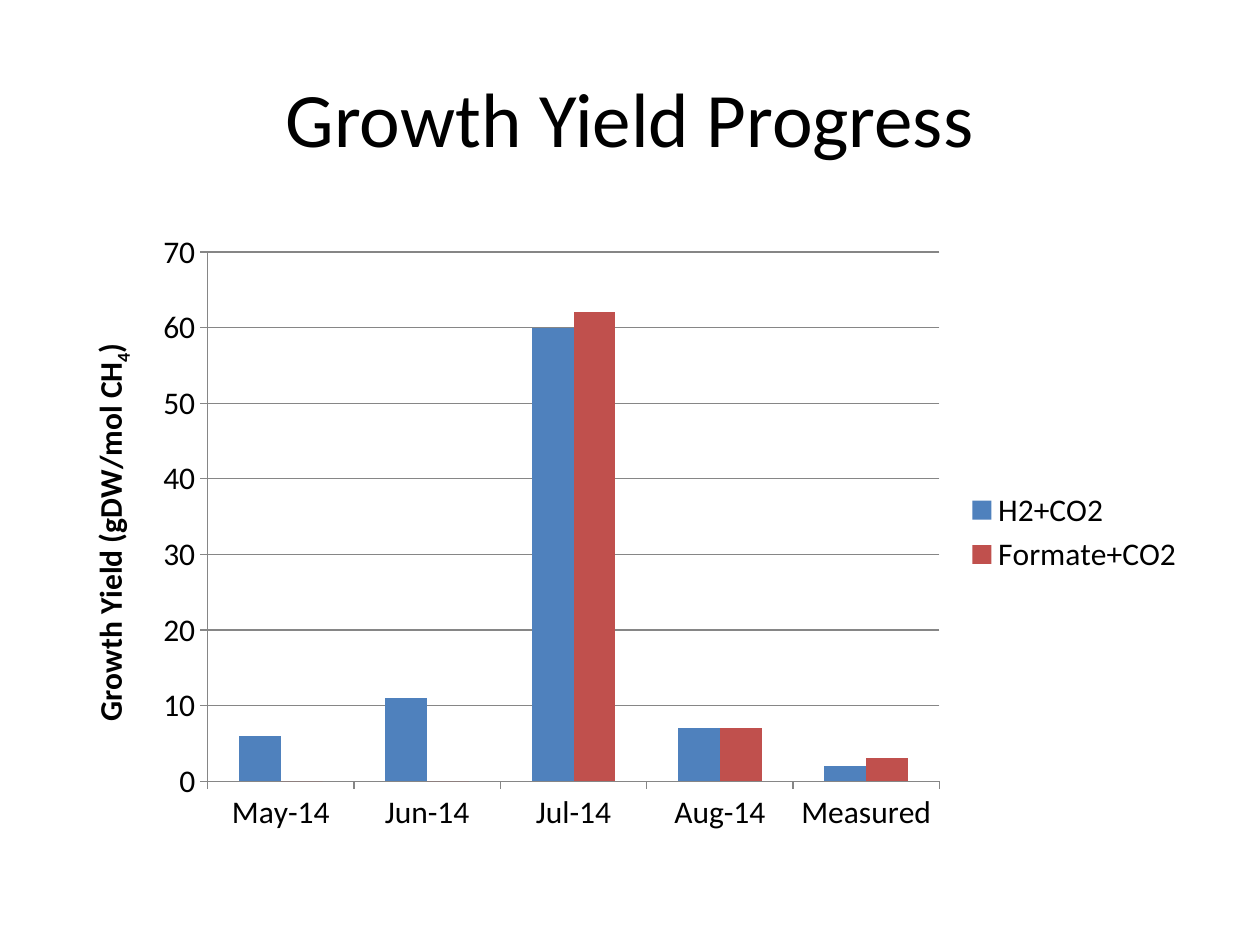
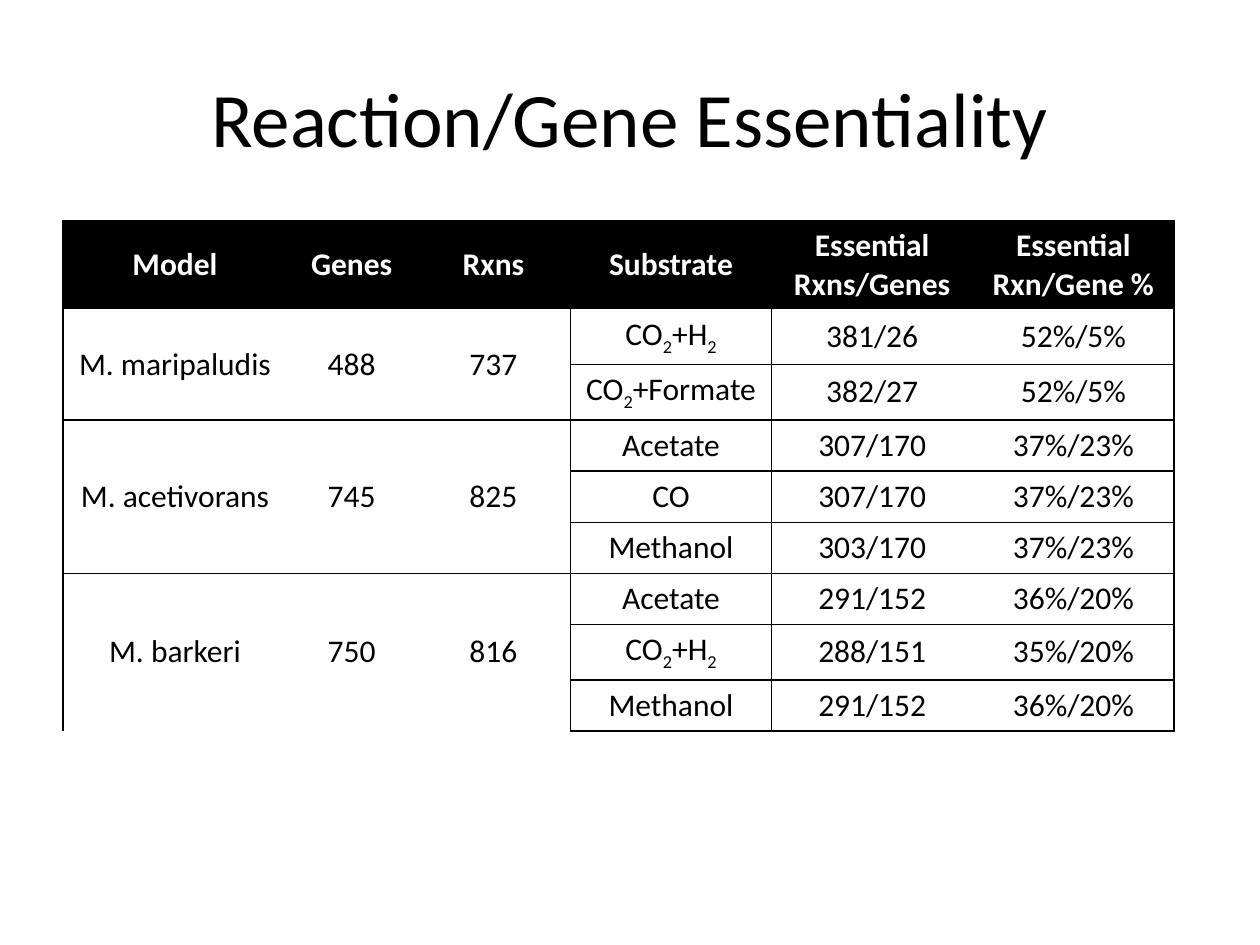
from lxml.etree import SubElement
from pptx import Presentation
from pptx.chart.data import CategoryChartData
from pptx.dml.color import RGBColor
from pptx.enum.chart import XL_CHART_TYPE, XL_LEGEND_POSITION, XL_TICK_MARK
from pptx.enum.text import MSO_ANCHOR, PP_ALIGN
from pptx.oxml.ns import qn
from pptx.util import Pt

COLORS = {"text": "000000", "paper": "FFFFFF", "grid": "868686",
          "h2": "4F81BD", "formate": "C0504D"}
FONT = "Calibri"
BODY_SIZE = 18
TITLE_BOX = (36, 21.6, 648, 90)
CHART_BOX = (36, 126, 648, 356.4)
TABLE_POS = (36, 126)
NO_STYLE = "{2D5ABB26-0587-4C30-8999-92F81FD0307C}"

MONTHS = ["May-14", "Jun-14", "Jul-14", "Aug-14", "Measured"]
YIELDS = [("H2+CO2", "h2", (6, 11, 60, 7, 2)),
          ("Formate+CO2", "formate", (0, 0, 62, 7, 3))]

# An underscore puts the next character in subscript.
COL_WIDTHS = [128, 74, 88, 115, 115, 115]
ROW_HEIGHT = 29.2
HEADERS = ["Model", "Genes", "Rxns", "Substrate",
           "Essential Rxns/Genes", "Essential Rxn/Gene %"]
MODELS = [
    (("M. maripaludis", "488", "737"),
     [("CO_2+H_2", "381/26", "52%/5%"),
      ("CO_2+Formate", "382/27", "52%/5%")]),
    (("M. acetivorans", "745", "825"),
     [("Acetate", "307/170", "37%/23%"),
      ("CO", "307/170", "37%/23%"),
      ("Methanol", "303/170", "37%/23%")]),
    (("M. barkeri", "750", "816"),
     [("Acetate", "291/152", "36%/20%"),
      ("CO_2+H_2", "288/151", "35%/20%"),
      ("Methanol", "291/152", "36%/20%")]),
]


def rgb(name):
    return RGBColor.from_string(COLORS[name])


def style_font(font, size=BODY_SIZE, color="text", bold=False):
    font.name = FONT
    font.size = Pt(size)
    font.bold = bold
    font.color.rgb = rgb(color)


def write(p, text, **style):
    """Fill a paragraph, lowering each character that follows an underscore."""
    first, *rest = text.split("_")
    parts = [(first, False)]
    for piece in rest:
        parts += [(piece[0], True), (piece[1:], False)]
    for part, lowered in parts:
        if part:
            r = p.add_run()
            r.text = part
            style_font(r.font, **style)
            if lowered:
                r.font._element.set("baseline", "-25000")


def add_title(s, box, text):
    tf = s.shapes.add_textbox(*map(Pt, box)).text_frame
    tf.word_wrap = True
    tf.vertical_anchor = MSO_ANCHOR.MIDDLE
    p = tf.paragraphs[0]
    p.alignment = PP_ALIGN.CENTER
    write(p, text, size=44)


def add_yield_chart(s, box):
    data = CategoryChartData()
    data.categories = MONTHS
    for name, _, values in YIELDS:
        data.add_series(name, values)
    chart = s.shapes.add_chart(XL_CHART_TYPE.COLUMN_CLUSTERED,
                               *map(Pt, box), data).chart
    style_font(chart.font)
    chart.has_title = False
    chart.has_legend = True
    chart.legend.position = XL_LEGEND_POSITION.RIGHT
    chart.legend.include_in_layout = False

    plot = chart.plots[0]
    plot.gap_width = 150
    plot.vary_by_categories = False
    for series, (_, color, _) in zip(plot.series, YIELDS):
        series.format.fill.solid()
        series.format.fill.fore_color.rgb = rgb(color)

    val_axis = chart.value_axis
    val_axis.minimum_scale, val_axis.maximum_scale, val_axis.major_unit = 0, 70, 10
    val_axis.has_major_gridlines = True
    for axis in (chart.category_axis, val_axis):
        axis.major_tick_mark = XL_TICK_MARK.OUTSIDE
    for part in (chart.category_axis, val_axis, val_axis.major_gridlines):
        part.format.line.width = Pt(0.75)
        part.format.line.color.rgb = rgb("grid")
    write(val_axis.axis_title.text_frame.paragraphs[0],
          "Growth Yield (gDW/mol CH_4)", bold=True)


def set_borders(cell, widths):
    """Draw the sides named in widths (L, R, T, B) and leave the others open."""
    tcPr = cell._tc.get_or_add_tcPr()
    for side in "LRTB":
        width = widths.get(side, 0)
        ln = SubElement(tcPr, qn(f"a:ln{side}"), w=str(Pt(width)))
        fill = SubElement(ln, qn("a:solidFill" if width else "a:noFill"))
        if width:
            SubElement(fill, qn("a:srgbClr"), val=COLORS["text"])


def fill_cell(cell, text, borders, fill="paper", color="text", bold=False):
    set_borders(cell, borders)
    cell.fill.solid()
    cell.fill.fore_color.rgb = rgb(fill)
    cell.vertical_anchor = MSO_ANCHOR.MIDDLE
    p = cell.text_frame.paragraphs[0]
    p.alignment = PP_ALIGN.CENTER
    write(p, text, color=color, bold=bold)


def add_model_rows(table, top, model, results):
    """Merge the model cells over its result rows, which start at row top."""
    last = top + len(results) - 1
    sides = [{"L": 0.75}, {}, {"R": 1}, {"L": 1, "R": 0.75}, {"L": 0.75}, {"R": 0.75}]
    for row, result in enumerate(results, top):
        texts = (model if row == top else ("",) * 3) + result
        for col, text in enumerate(texts):
            borders = dict(sides[col])
            if col > 2 or row == top:
                borders["T"] = 0.75
            if col > 2 or row == last:
                borders["B"] = 0.75
            fill_cell(table.cell(row, col), text, borders)
    for col in range(3):
        table.cell(top, col).merge(table.cell(last, col))


def add_essentiality_table(s, pos):
    n_rows = 1 + sum(len(results) for _, results in MODELS)
    size = (sum(COL_WIDTHS), ROW_HEIGHT * n_rows)
    table = s.shapes.add_table(n_rows, len(COL_WIDTHS), *map(Pt, pos + size)).table
    table.first_row = table.horz_banding = False
    table._tbl.tblPr.find(qn("a:tableStyleId")).text = NO_STYLE
    for column, width in zip(table.columns, COL_WIDTHS):
        column.width = Pt(width)
    for row in table.rows:
        row.height = Pt(ROW_HEIGHT)

    ends = {0: {"L": 0.75}, len(HEADERS) - 1: {"R": 0.75}}
    for col, text in enumerate(HEADERS):
        fill_cell(table.cell(0, col), text, {"T": 0.75, "B": 0.75, **ends.get(col, {})},
                  fill="text", color="paper", bold=True)
    top = 1
    for model, results in MODELS:
        add_model_rows(table, top, model, results)
        top += len(results)


def main():
    prs = Presentation()
    prs.slide_width, prs.slide_height = Pt(720), Pt(540)
    slides = [("Growth Yield Progress", add_yield_chart, CHART_BOX),
              ("Reaction/Gene Essentiality", add_essentiality_table, TABLE_POS)]
    for title, add_content, place in slides:
        s = prs.slides.add_slide(prs.slide_layouts[6])
        add_title(s, TITLE_BOX, title)
        add_content(s, place)
    prs.save("out.pptx")


if __name__ == "__main__":
    main()
